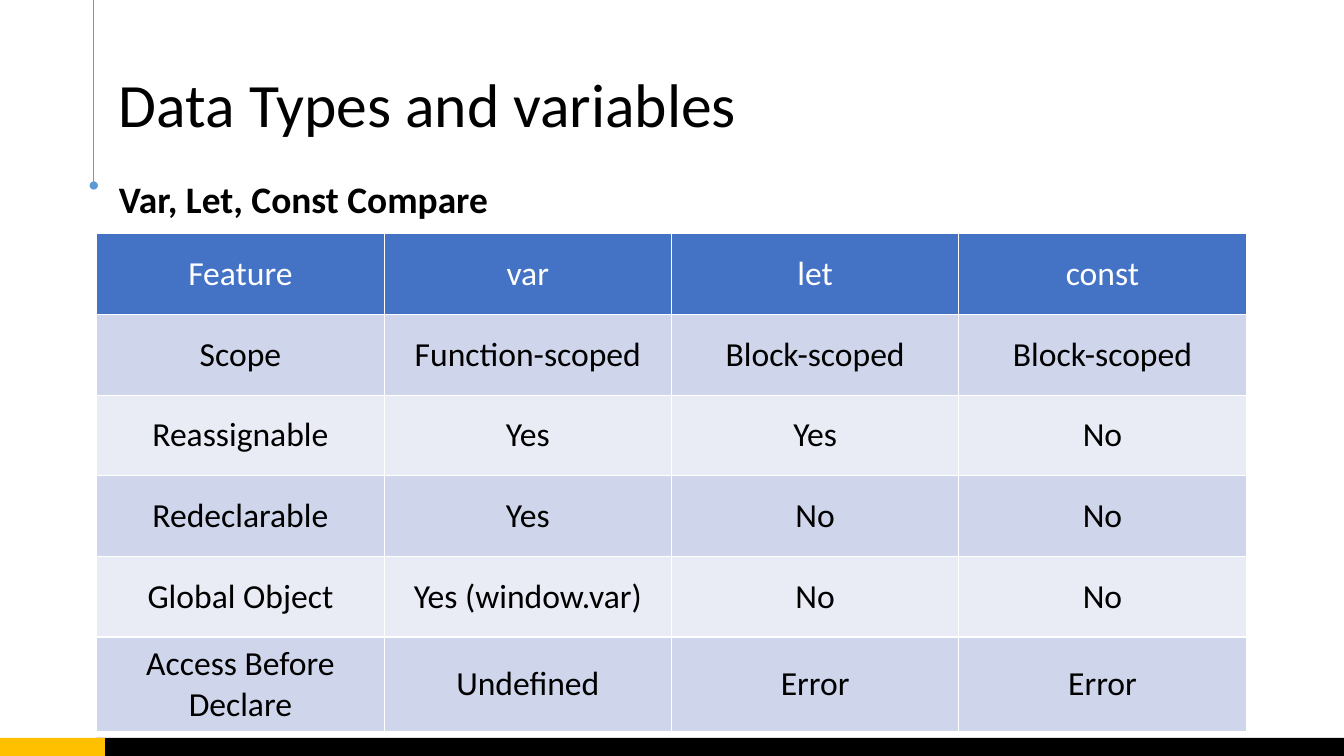
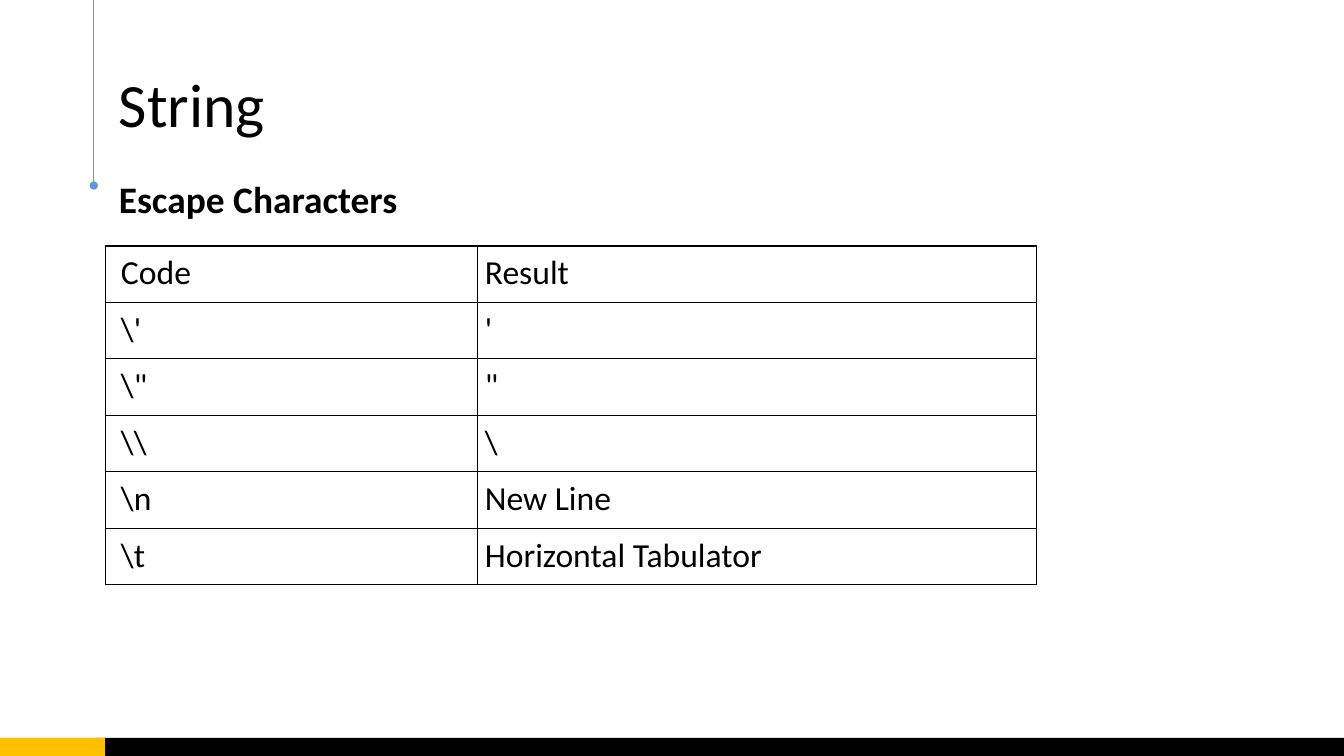
from lxml import etree
from pptx import Presentation
from pptx.dml.color import RGBColor
from pptx.enum.shapes import MSO_CONNECTOR, MSO_SHAPE
from pptx.enum.text import MSO_ANCHOR as ANCHOR, PP_ALIGN as ALIGN
from pptx.oxml.ns import qn
from pptx.util import Inches, Pt

BLACK = RGBColor(0x00, 0x00, 0x00)
WHITE = RGBColor(0xFF, 0xFF, 0xFF)
GOLD = RGBColor(0xFF, 0xC0, 0x00)
SKY = RGBColor(0x5B, 0x9B, 0xD5)
BLUE = RGBColor(0x44, 0x72, 0xC4)
BAND_DARK = RGBColor(0xCF, 0xD5, 0xEA)
BAND_LIGHT = RGBColor(0xE9, 0xEB, 0xF5)

COMPARE_ROWS = [
    ["Feature", "var", "let", "const"],
    ["Scope", "Function-scoped", "Block-scoped", "Block-scoped"],
    ["Reassignable", "Yes", "Yes", "No"],
    ["Redeclarable", "Yes", "No", "No"],
    ["Global Object", "Yes (window.var)", "No", "No"],
    ["Access Before Declare", "Undefined", "Error", "Error"],
]
ESCAPE_ROWS = [
    ["Code", "Result"],
    [r"\'", "'"],
    [r'\"', '"'],
    [r"\\", "\\"],
    [r"\n", "New Line"],
    [r"\t", "Horizontal Tabulator"],
]


def write(tf, text, size=24, color=BLACK, bold=False, align=ALIGN.LEFT, spacing=1.0):
    p = tf.paragraphs[0]
    p.alignment = align
    p.line_spacing = spacing
    r = p.add_run()
    r.text = text
    r.font.name = "Calibri"
    r.font.size = Pt(size)
    r.font.bold = bold
    r.font.color.rgb = color
    return p


def set_insets(box, left, top, right, bottom):
    box.margin_left, box.margin_top = Inches(left), Inches(top)
    box.margin_right, box.margin_bottom = Inches(right), Inches(bottom)


def set_borders(cell, color, width=1):
    tc_pr = cell._tc.get_or_add_tcPr()
    for i, side in enumerate(("lnL", "lnR", "lnT", "lnB")):
        ln = etree.Element(qn(f"a:{side}"), w=str(Pt(width)))
        fill = etree.SubElement(ln, qn("a:solidFill"))
        etree.SubElement(fill, qn("a:srgbClr"), val=str(color))
        tc_pr.insert(i, ln)


class Deck:
    def __init__(self):
        self.prs = Presentation()
        self.prs.slide_width, self.prs.slide_height = Inches(13.33), Inches(7.5)
        self.s = None

    def add_slide(self, title, subtitle):
        self.s = self.prs.slides.add_slide(self.prs.slide_layouts[6])
        self.band(0.95, 12.38, BLACK)
        self.band(0, 1.04, GOLD)
        self.rule()
        self.title(title)
        self.subtitle(subtitle)

    def band(self, left, width, color):
        sp = self.s.shapes.add_shape(
            MSO_SHAPE.RECTANGLE, Inches(left), Inches(7.32), Inches(width), Inches(0.18))
        sp.shadow.inherit = False
        sp.fill.solid()
        sp.fill.fore_color.rgb = color
        sp.line.fill.background()

    def rule(self):
        x = Inches(0.93)
        line = self.s.shapes.add_connector(MSO_CONNECTOR.STRAIGHT, x, 0, x, Inches(1.84))
        line.line.color.rgb = SKY
        line.line.width = Pt(0.75)
        etree.SubElement(line.line._get_or_add_ln(), qn("a:tailEnd"), type="oval")
        etree.SubElement(line._element.spPr, qn("a:effectLst"))

    def text_box(self, left, top, width, height):
        box = self.s.shapes.add_textbox(
            Inches(left), Inches(top), Inches(width), Inches(height))
        box.text_frame.word_wrap = True
        return box.text_frame

    def title(self, text):
        tf = self.text_box(1.05, 0.65, 11.23, 0.84)
        set_insets(tf, 0.13, 0.13, 0.13, 0.13)
        tf.vertical_anchor = ANCHOR.MIDDLE
        write(tf, text, size=44, spacing=0.9)

    def subtitle(self, text):
        tf = self.text_box(0.91, 1.48, 11.68, 5.59)
        p = write(tf, text, size=26.7, bold=True, spacing=1.5)
        p._p.get_or_add_pPr().set("marL", str(Inches(0.17)))

    def table(self, rows, left, top, widths, heights, style_cell):
        frame = self.s.shapes.add_table(
            len(rows), len(widths), Inches(left), Inches(top),
            Inches(sum(widths)), Inches(sum(heights)))
        table = frame.table
        table.first_row = table.horz_banding = False
        for column, width in zip(table.columns, widths):
            column.width = Inches(width)
        for row, height in zip(table.rows, heights):
            row.height = Inches(height)
        for i, row in enumerate(rows):
            for j, text in enumerate(row):
                style_cell(table.cell(i, j), i, j, text)


def compare_cell(cell, row, column, text):
    header = row == 0
    cell.fill.solid()
    cell.fill.fore_color.rgb = BLUE if header else (BAND_LIGHT, BAND_DARK)[row % 2]
    cell.vertical_anchor = ANCHOR.MIDDLE
    set_insets(cell, 0.13, 0.07, 0.13, 0.07)
    set_borders(cell, WHITE)
    write(cell.text_frame, text, color=WHITE if header else BLACK, align=ALIGN.CENTER)


def escape_cell(cell, row, column, text):
    cell.fill.background()
    set_insets(cell, 0.07 if column else 0.15, 0.07, 0.07, 0.07)
    set_borders(cell, BLACK)
    write(cell.text_frame, text)


def main():
    deck = Deck()
    deck.add_slide("Data Types and variables", "Var, Let, Const Compare")
    deck.table(COMPARE_ROWS, 0.96, 2.32, [2.85] * 4, [0.8] * 5 + [0.93], compare_cell)
    deck.add_slide("String", "Escape Characters")
    deck.table(ESCAPE_ROWS, 1.05, 2.44, [3.69, 5.54], [0.56] * 6, escape_cell)
    deck.prs.save("out.pptx")


if __name__ == "__main__":
    main()
